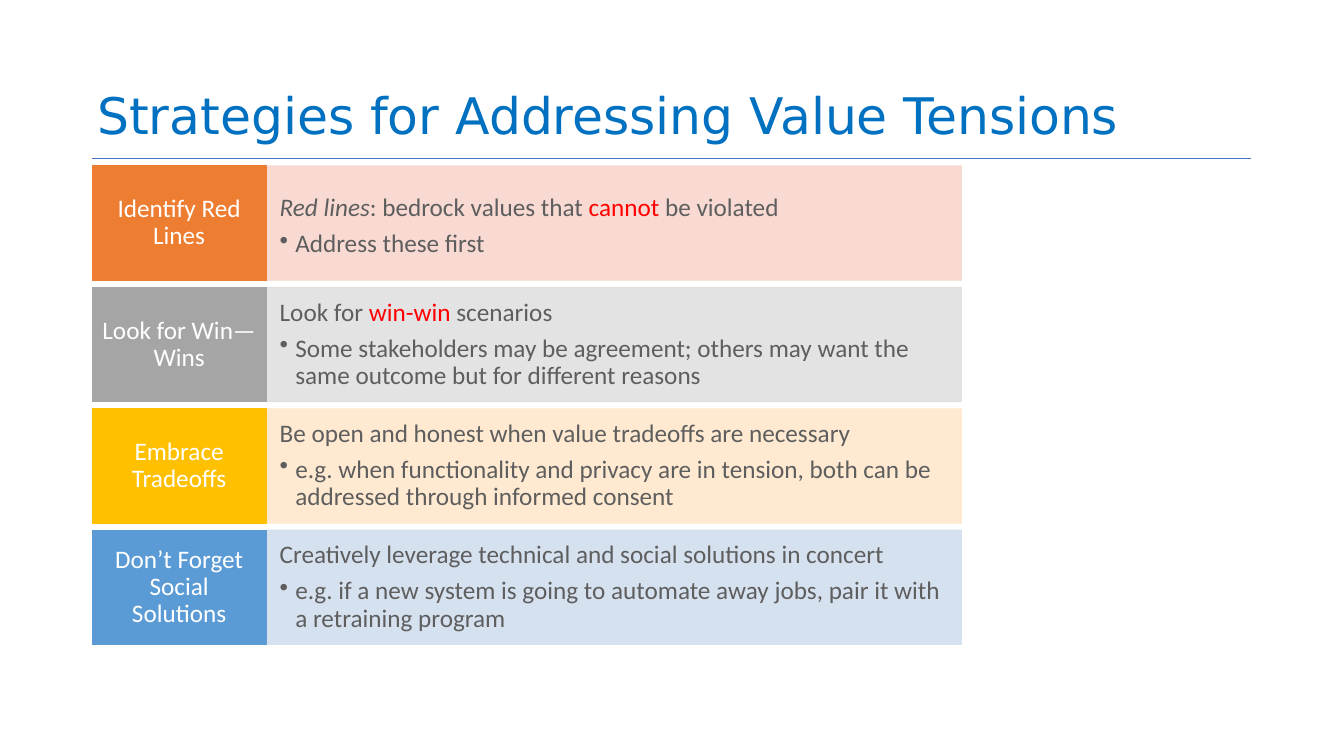
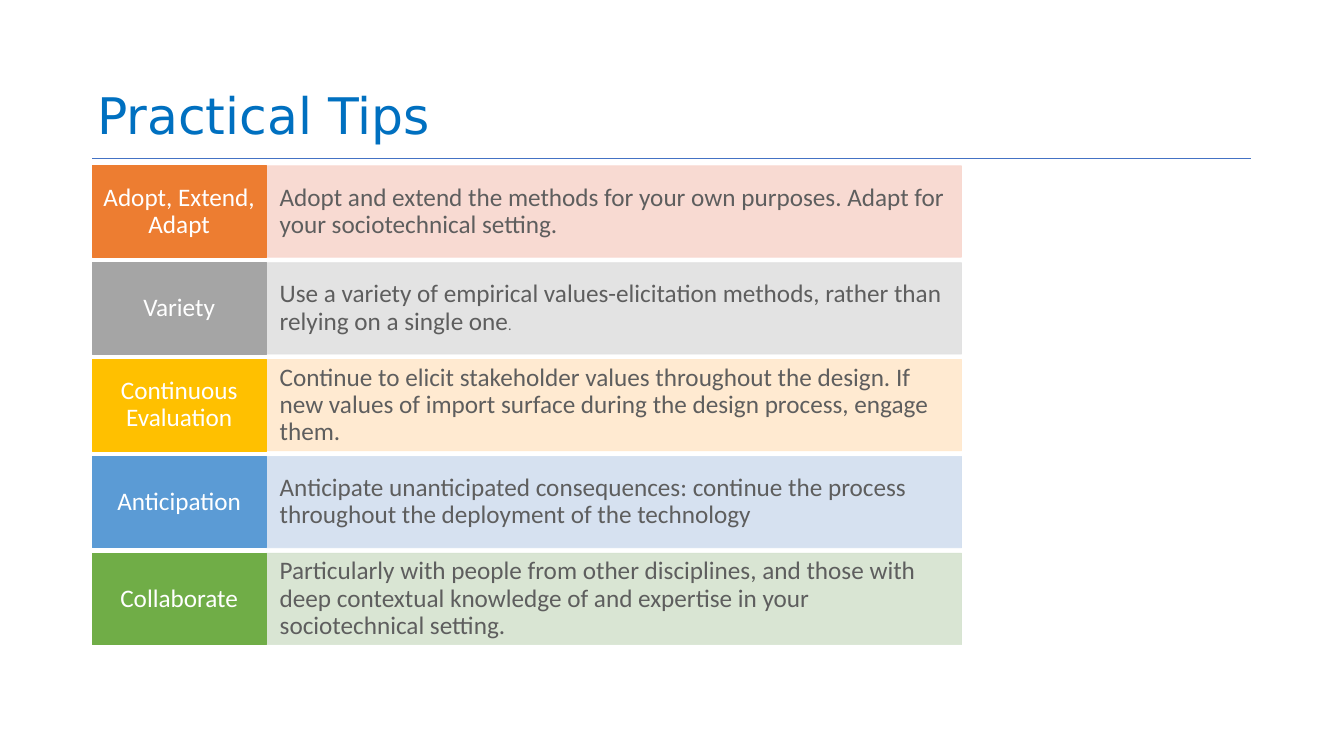
import pptx
import pptx.util
import pptx.dml.color
import pptx.enum.shapes
import pptx.enum.text
import pptx.oxml.ns
import lxml.etree

RGBColor = pptx.dml.color.RGBColor
Inches = pptx.util.Inches
Anchor = pptx.enum.text.MSO_ANCHOR
Align = pptx.enum.text.PP_ALIGN

WHITE = RGBColor(0xFF, 0xFF, 0xFF)
TITLE_BLUE = RGBColor(0x00, 0x70, 0xC0)
RULE_BLUE = RGBColor(0x44, 0x72, 0xC4)
TEXT_GREY = RGBColor(0x5E, 0x5E, 0x5E)
RED = RGBColor(0xFF, 0x00, 0x00)
ROW_COLOURS = [
    (RGBColor(0xED, 0x7D, 0x31), RGBColor(0xF8, 0xD7, 0xCE)),
    (RGBColor(0xA5, 0xA5, 0xA5), RGBColor(0xE1, 0xE1, 0xE1)),
    (RGBColor(0xFF, 0xC0, 0x00), RGBColor(0xFF, 0xE8, 0xCC)),
    (RGBColor(0x5B, 0x9B, 0xD5), RGBColor(0xD2, 0xDE, 0xEF)),
    (RGBColor(0x70, 0xAD, 0x47), RGBColor(0xD5, 0xE3, 0xCF)),
]

SLIDE_WIDTH, SLIDE_HEIGHT = 26.67, 15
LEFT, CONTENT_WIDTH = 1.83, 23
RULE_TOP = 3.13
ROWS_TOP, ROWS_HEIGHT = 3.29, 9.5
ROW_GAP_SHARE = 0.06
LABEL_WIDTH = 0.15 * CONTENT_WIDTH
DETAIL_WIDTH = 0.6 * CONTENT_WIDTH
BULLET_INDENT = 0.31

STRATEGIES = [
    ("Identify Red Lines",
     [("Red lines", {"italic": True}), ": bedrock values that ",
      ("cannot", {"colour": RED}), " be violated"],
     "Address these first"),
    ("Look for Win—Wins",
     ["Look for ", ("win-win", {"colour": RED}), " scenarios"],
     "Some stakeholders may be agreement; others may want the same outcome "
     "but for different reasons"),
    ("Embrace Tradeoffs",
     ["Be open and honest when value tradeoffs are necessary"],
     "e.g. when functionality and privacy are in tension, both can be "
     "addressed through informed consent"),
    ("Don’t Forget Social Solutions",
     ["Creatively leverage technical and social solutions in concert"],
     "e.g. if a new system is going to automate away jobs, pair it with "
     "a retraining program"),
]
TIPS = [
    ("Adopt, Extend, Adapt",
     ["Adopt and extend the methods for your own purposes. Adapt for your "
      "sociotechnical setting."], None),
    ("Variety",
     ["Use a variety of empirical values-elicitation methods, rather than "
      "relying on a single one", (".", {"size": 20})], None),
    ("Continuous Evaluation",
     ["Continue to elicit stakeholder values throughout the design. If new "
      "values of import surface during the design process, engage them."], None),
    ("Anticipation",
     ["Anticipate unanticipated consequences: continue the process "
      "throughout the deployment of the technology"], None),
    ("Collaborate",
     ["Particularly with people from other disciplines, and those with deep "
      "contextual knowledge of and expertise in your sociotechnical setting."], None),
]


def add_bullet(para):
    properties = para._p.get_or_add_pPr()
    properties.set("marL", str(Inches(BULLET_INDENT)))
    properties.set("indent", str(-Inches(BULLET_INDENT)))
    bullet = lxml.etree.SubElement(properties, pptx.oxml.ns.qn("a:buChar"))
    bullet.set("char", "•")


def write_para(para, spans, font="Calibri", size=36, colour=TEXT_GREY,
               align=Align.LEFT, space_after=0, bullet=False):
    if bullet:
        add_bullet(para)
        para.level = 1
    para.alignment = align
    para.line_spacing = 0.9
    para.space_before = pptx.util.Pt(0)
    para.space_after = pptx.util.Pt(space_after)
    for span in spans:
        text, style = (span, {}) if isinstance(span, str) else span
        run = para.add_run()
        run.text = text
        run.font.name = font
        run.font.size = pptx.util.Pt(style.get("size", size))
        run.font.color.rgb = style.get("colour", colour)
        run.font.italic = style.get("italic", False)


def set_frame(box, anchor, side, end):
    frame = box.text_frame
    frame.word_wrap = True
    frame.vertical_anchor = anchor
    frame.margin_left = frame.margin_right = Inches(side)
    frame.margin_top = frame.margin_bottom = Inches(end)
    return frame


def add_block(page, left, top, width, height, colour, opacity=100):
    block = page.shapes.add_shape(
        pptx.enum.shapes.MSO_SHAPE.RECTANGLE,
        Inches(left), Inches(top), Inches(width), Inches(height))
    block.shadow.inherit = False
    block.fill.solid()
    block.fill.fore_color.rgb = colour
    block.line.color.rgb = colour
    block.line.width = pptx.util.Pt(1)
    if opacity < 100:
        for tint in block._element.spPr.iter(pptx.oxml.ns.qn("a:srgbClr")):
            alpha = lxml.etree.SubElement(tint, pptx.oxml.ns.qn("a:alpha"))
            alpha.set("val", str(opacity * 1000))
    return block


def add_row(page, top, height, colours, row, detail_anchor):
    label, lead, example = row
    label_colour, detail_colour = colours
    detail = add_block(page, LEFT + LABEL_WIDTH, top, DETAIL_WIDTH, height,
                       detail_colour, opacity=90)
    frame = set_frame(detail, detail_anchor, 0.27, 0.254 * height)
    write_para(frame.paragraphs[0], lead, space_after=12.6)
    if example:
        write_para(frame.add_paragraph(), [example], space_after=5.4, bullet=True)
    block = add_block(page, LEFT, top, LABEL_WIDTH, height, label_colour)
    frame = set_frame(block, Anchor.MIDDLE, 0.18, 0.098 * height)
    write_para(frame.paragraphs[0], [label], colour=WHITE, align=Align.CENTER,
               space_after=12.6)


def add_rows(page, rows, first_anchor=Anchor.MIDDLE):
    height = ROWS_HEIGHT / (len(rows) + ROW_GAP_SHARE * (len(rows) - 1))
    pitch = height * (1 + ROW_GAP_SHARE)
    for index, (row, colours) in enumerate(zip(rows, ROW_COLOURS)):
        anchor = Anchor.MIDDLE if index else first_anchor
        add_row(page, ROWS_TOP + index * pitch, height, colours, row, anchor)


def add_page(deck, title):
    page = deck.slides.add_slide(deck.slide_layouts[6])
    rule = page.shapes.add_connector(
        pptx.enum.shapes.MSO_CONNECTOR.STRAIGHT, Inches(LEFT), Inches(RULE_TOP),
        Inches(LEFT + CONTENT_WIDTH), Inches(RULE_TOP))
    rule.line.color.rgb = RULE_BLUE
    rule.line.width = pptx.util.Pt(0.5)
    lxml.etree.SubElement(rule._element.spPr, pptx.oxml.ns.qn("a:effectLst"))
    box = page.shapes.add_textbox(
        Inches(LEFT), Inches(0.04), Inches(CONTENT_WIDTH), Inches(2.9))
    frame = set_frame(box, Anchor.BOTTOM, 0.1, 0.05)
    write_para(frame.paragraphs[0], [title], font="DejaVu Sans", size=72,
               colour=TITLE_BLUE)
    return page


def main():
    deck = pptx.Presentation()
    deck.slide_width = Inches(SLIDE_WIDTH)
    deck.slide_height = Inches(SLIDE_HEIGHT)
    add_rows(add_page(deck, "Strategies for Addressing Value Tensions"),
             STRATEGIES, first_anchor=Anchor.TOP)
    add_rows(add_page(deck, "Practical Tips"), TIPS)
    deck.save("out.pptx")


if __name__ == "__main__":
    main()
